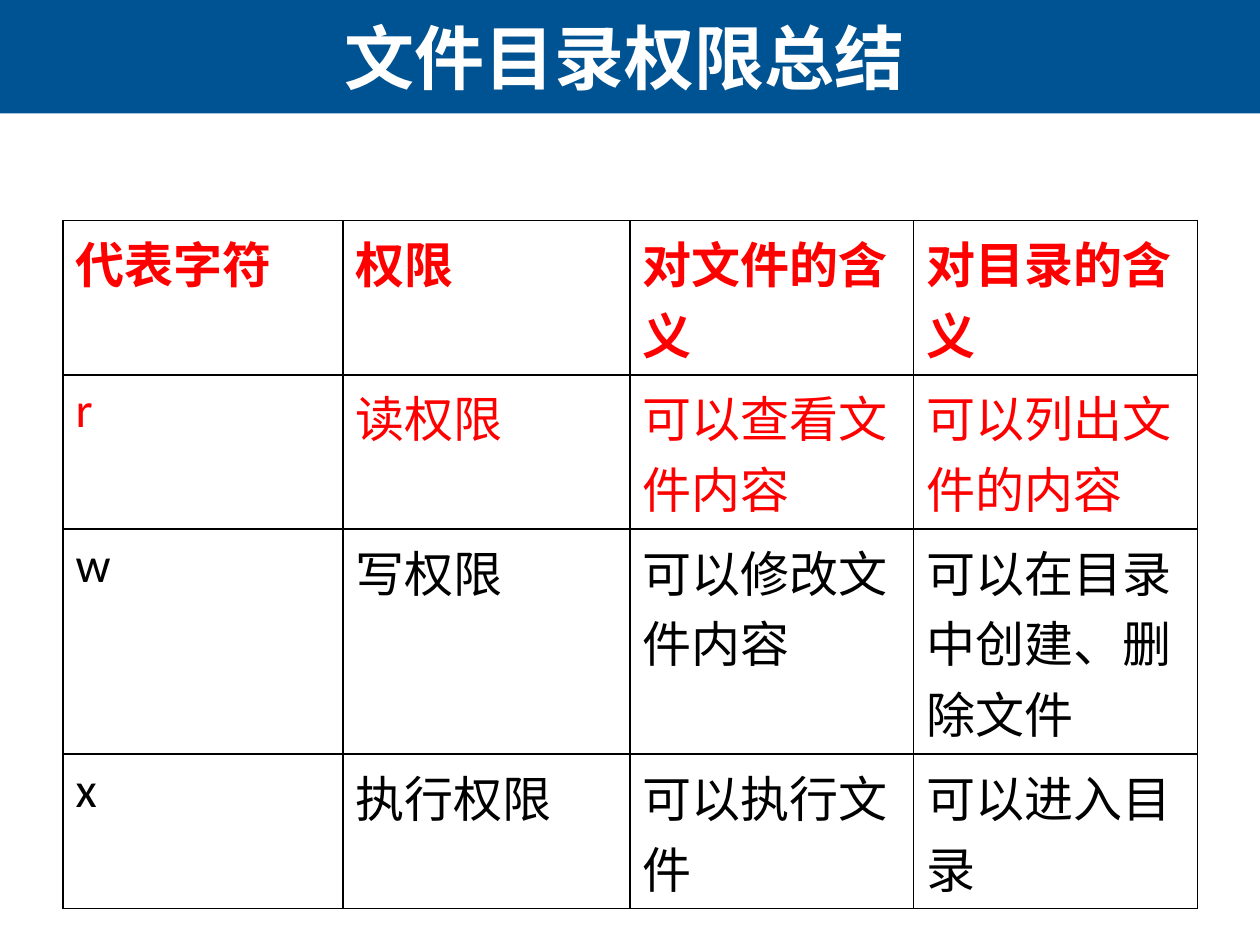
from pptx import Presentation
from pptx.dml.color import RGBColor
from pptx.enum.shapes import MSO_SHAPE as Preset
from pptx.enum.text import MSO_ANCHOR as Anchor, PP_ALIGN as Align
from pptx.oxml.ns import qn
from pptx.util import Cm, Pt
from lxml.etree import SubElement

BLUE = RGBColor(0x00, 0x53, 0x92)
RED = RGBColor(0xFF, 0x00, 0x00)
BLACK = RGBColor(0x00, 0x00, 0x00)
WHITE = RGBColor(0xFF, 0xFF, 0xFF)

SLIDE_WIDTH = Cm(25.4)
BAND_HEIGHT = Cm(2.29)
COLUMN_WIDTHS = [Cm(5.64), Cm(5.79), Cm(5.72), Cm(5.72)]
ROW_HEIGHT = Cm(1.04)

PERMISSIONS = [
    ("代表字符", "权限", "对文件的含义", "对目录的含义"),
    ("r", "读权限", "可以查看文件内容", "可以列出文件的内容"),
    ("w", "写权限", "可以修改文件内容", "可以在目录中创建、删除文件"),
    ("x", "执行权限", "可以执行文件", "可以进入目录"),
]
ROW_COLORS = [RED, RED, BLACK, BLACK]


def style_font(paragraph, name, size, color, bold):
    font = paragraph.font
    font.name = name
    font.size = Pt(size)
    font.bold = bold
    font.color.rgb = color


def add_band(slide):
    band = slide.shapes.add_shape(Preset.RECTANGLE, 0, 0, SLIDE_WIDTH, BAND_HEIGHT)
    band.shadow.inherit = False
    band.fill.solid()
    band.fill.fore_color.rgb = BLUE
    band.line.fill.background()
    slide.shapes.title._element.addprevious(band._element)


def set_title(slide, text):
    title = slide.shapes.title
    title.left, title.top = Cm(0.05), Cm(0)
    title.width, title.height = Cm(25.07), BAND_HEIGHT
    frame = title.text_frame
    frame.text = text
    frame.vertical_anchor = Anchor.MIDDLE
    heading = frame.paragraphs[0]
    heading.alignment = Align.CENTER
    style_font(heading, "Arial", 40, WHITE, True)


def add_borders(cell):
    properties = cell._tc.get_or_add_tcPr()
    for position, side in enumerate(("a:lnL", "a:lnR", "a:lnT", "a:lnB")):
        border = SubElement(properties, qn(side), w=str(Pt(1)))
        properties.insert(position, border)
        fill = SubElement(border, qn("a:solidFill"))
        SubElement(fill, qn("a:srgbClr"), val=str(BLACK))


def fill_cell(cell, text, color, bold):
    cell.text = text
    style_font(cell.text_frame.paragraphs[0], "Calibri", 28, color, bold)
    cell.fill.solid()
    cell.fill.fore_color.rgb = WHITE
    add_borders(cell)


def add_permission_table(slide):
    frame = slide.shapes.add_table(
        len(PERMISSIONS), len(COLUMN_WIDTHS),
        Cm(1.27), Cm(4.45), sum(COLUMN_WIDTHS), Cm(11.68))
    table = frame.table
    table.horz_banding = False
    for column, width in zip(table.columns, COLUMN_WIDTHS):
        column.width = width
    for index, (row, texts, color) in enumerate(
            zip(table.rows, PERMISSIONS, ROW_COLORS)):
        row.height = ROW_HEIGHT
        for cell, text in zip(row.cells, texts):
            fill_cell(cell, text, color, index == 0)
    frame.height = Cm(11.68)


def main():
    presentation = Presentation()
    presentation.slide_width = SLIDE_WIDTH
    presentation.slide_height = Cm(19.05)
    slide = presentation.slides.add_slide(presentation.slide_layouts[5])
    add_band(slide)
    set_title(slide, "文件目录权限总结")
    add_permission_table(slide)
    presentation.save("out.pptx")


if __name__ == "__main__":
    main()
